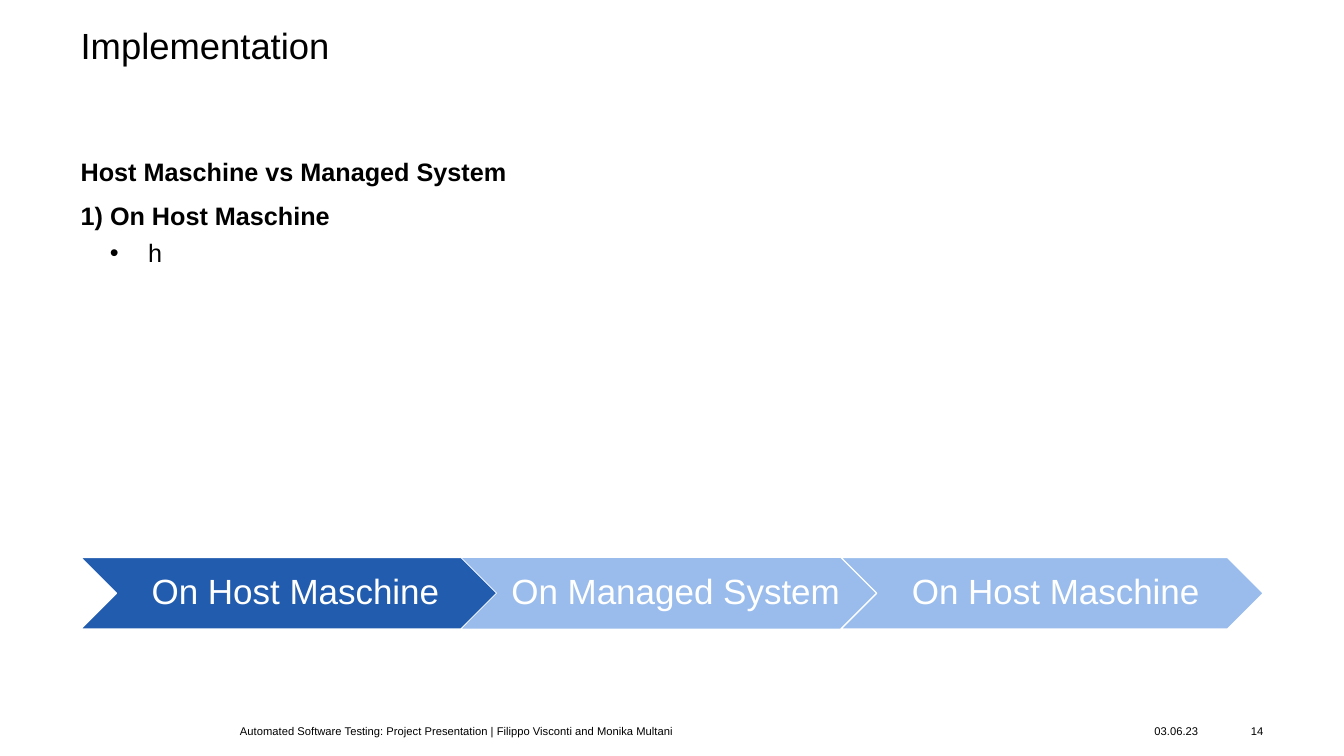
from dataclasses import dataclass

from pptx import Presentation
from pptx import util as u
from pptx.dml.color import RGBColor
from pptx.enum import shapes, text
from pptx.oxml import parse_xml
from pptx.oxml.ns import nsdecls

SCALE = 9144
BLACK, WHITE, BLUE, PALE = "000000", "FFFFFF", "215CAF", "99BCEC"
LEFT, WIDTH = 80, 1173
STEP_TOP, STEP_W, STEP_H, PITCH = 553, 419, 71, 377
FOOT_TOP, FOOT_H = 713, 24
ALIGN, ANCHOR = text.PP_ALIGN, text.MSO_ANCHOR


@dataclass
class Step:
    label: str
    fill: str
    line: float


@dataclass
class Foot:
    label: str
    left: int
    width: int
    align: ALIGN = ALIGN.LEFT


@dataclass
class Item:
    label: str
    level: int
    bold: bool
    before: int
    margin: int
    indent: int
    bullet: str = ""


STEPS = [
    Step("On Host Maschine", BLUE, 1),
    Step("On Managed System", PALE, 0.5),
    Step("On Host Maschine", PALE, 1),
]
FEET = [
    Foot("Automated Software Testing: Project Presentation | "
         "Filippo Visconti and Monika Multani", 238, 591),
    Foot("03.06.23", 1145, 67),
    Foot("14", 1218, 35, ALIGN.RIGHT),
]
ITEMS = [
    Item("Host Maschine vs Managed System", 0, True, 10, 0, 0),
    Item("1) On Host Maschine", 0, True, 10, 0, 0),
    Item("h", 1, False, 5, 67, -38, "•"),
]


def px(n: int) -> u.Emu:
    return u.Emu(n * SCALE)


def color(code: str) -> RGBColor:
    return RGBColor.from_string(code)


def place(shape, left: int, top: int, width: int, height: int) -> None:
    shape.left, shape.top = px(left), px(top)
    shape.width, shape.height = px(width), px(height)


def frame(shape, anchor: ANCHOR, pad: tuple = (0, 0, 0, 0)):
    box = shape.text_frame
    box.word_wrap = True
    box.auto_size = text.MSO_AUTO_SIZE.NONE
    box.vertical_anchor = anchor
    box.margin_left, box.margin_top, box.margin_right, box.margin_bottom = map(px, pad)
    return box


def style(par, label: str, size: int, code: str = BLACK,
          align: ALIGN = ALIGN.LEFT, bold: bool = False) -> None:
    par.text = label
    par.alignment = align
    font = par.font
    font.name, font.size, font.bold = "Arial", u.Pt(size), bold
    font.color.rgb = color(code)


def draw_title(shape, label: str) -> None:
    place(shape, LEFT, 28, WIDTH, 98)
    par = frame(shape, ANCHOR.TOP).paragraphs[0]
    style(par, label, 26)
    par.line_spacing = 0.9


def draw_list(shape, items: list[Item]) -> None:
    place(shape, LEFT, 155, WIDTH, 384)
    box = frame(shape, ANCHOR.TOP)
    for i, item in enumerate(items):
        par = box.add_paragraph() if i else box.paragraphs[0]
        style(par, item.label, 18, bold=item.bold)
        par.level = item.level
        par.space_before = u.Pt(item.before)
        props = par._p.get_or_add_pPr()
        props.set("marL", str(px(item.margin)))
        props.set("indent", str(px(item.indent)))
        tag = f'buChar char="{item.bullet}"' if item.bullet else "buNone"
        name, _, rest = tag.partition(" ")
        mark = parse_xml(f"<a:{name} {nsdecls('a')} {rest}/>")
        props.find("{*}defRPr").addprevious(mark)


def draw_step(slide, step: Step, left: int) -> None:
    shape = slide.shapes.add_shape(
        shapes.MSO_SHAPE.CHEVRON, px(left), px(STEP_TOP), px(STEP_W), px(STEP_H))
    shape.shadow.inherit = False
    shape.fill.solid()
    shape.fill.fore_color.rgb = color(step.fill)
    shape.line.color.rgb = color(WHITE)
    shape.line.width = u.Pt(step.line)
    par = frame(shape, ANCHOR.MIDDLE, (11, 4, 4, 4)).paragraphs[0]
    style(par, step.label, 25, WHITE, ALIGN.CENTER)
    par.line_spacing = 0.9


def draw_foot(slide, foot: Foot) -> None:
    shape = slide.shapes.add_textbox(
        px(foot.left), px(FOOT_TOP), px(foot.width), px(FOOT_H))
    par = frame(shape, ANCHOR.MIDDLE).paragraphs[0]
    style(par, foot.label, 8, align=foot.align)


def main() -> None:
    """Build the implementation slide and save it."""
    deck = Presentation()
    deck.slide_width, deck.slide_height = px(1333), px(750)
    slide = deck.slides.add_slide(deck.slide_layouts[1])
    draw_title(slide.shapes.title, "Implementation")
    draw_list(slide.placeholders[1], ITEMS)
    for foot in FEET:
        draw_foot(slide, foot)
    for i, step in enumerate(STEPS):
        draw_step(slide, step, LEFT + i * PITCH)
    deck.save("out.pptx")


if __name__ == "__main__":
    main()
